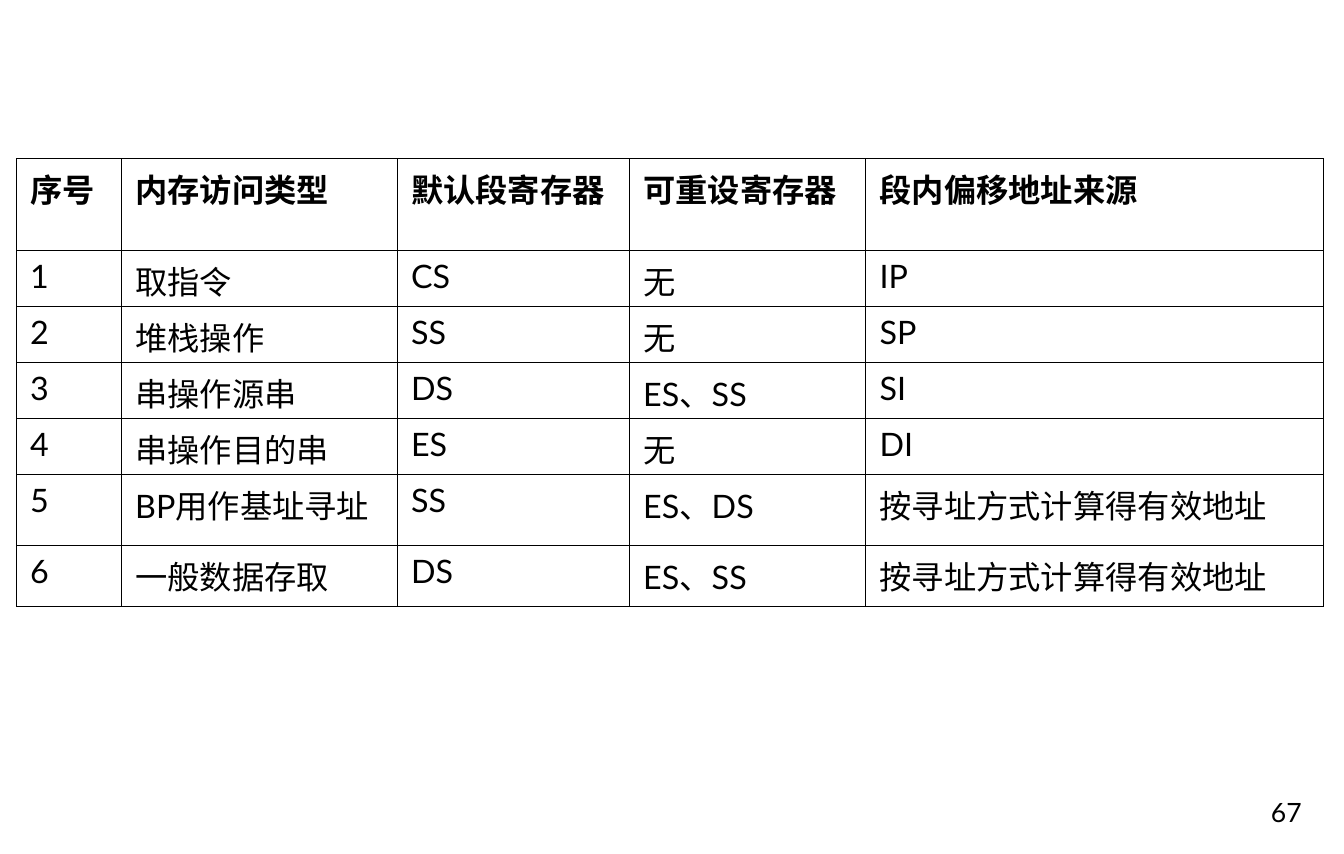
from lxml import etree
from pptx import Presentation
from pptx.dml.color import RGBColor
from pptx.enum.text import MSO_ANCHOR, PP_ALIGN
from pptx.oxml.ns import qn
from pptx.util import Inches, Pt

BOTTOM = MSO_ANCHOR.BOTTOM
LEFT, RIGHT = PP_ALIGN.LEFT, PP_ALIGN.RIGHT
BLACK, WHITE = "000000", "FFFFFF"
BORDER_WIDTH = Pt(0.45)
COLUMN_WIDTHS = [0.77, 2.02, 1.7, 1.73, 3.35]
ROW_HEIGHTS = [0.67, 0.41, 0.41, 0.41, 0.41, 0.52, 0.45]
HEADER_FORMAT = {"name": "Lato", "size": Pt(17), "bold": True}
BODY_FORMAT = {**HEADER_FORMAT, "bold": False}
NUMBER_FORMAT = {"name": "Lato", "size": Pt(14)}
SEGMENT_RULES = [
    ["序号", "内存访问类型", "默认段寄存器", "可重设寄存器", "段内偏移地址来源"],
    ["1", "取指令", "CS", "无", "IP"],
    ["2", "堆栈操作", "SS", "无", "SP"],
    ["3", "串操作源串", "DS", "ES、SS", "SI"],
    ["4", "串操作目的串", "ES", "无", "DI"],
    ["5", "BP用作基址寻址", "SS", "ES、DS", "按寻址方式计算得有效地址"],
    ["6", "一般数据存取", "DS", "ES、SS", "按寻址方式计算得有效地址"],
]


def color(hex_value):
    """Return the colour for a hex string."""
    return RGBColor.from_string(hex_value)


def write_text(frame, text, font_format, alignment):
    """Write one formatted paragraph into a text frame."""
    paragraph = frame.paragraphs[0]
    paragraph.alignment = alignment
    run = paragraph.add_run()
    run.text = text
    for attribute, value in font_format.items():
        setattr(run.font, attribute, value)
    run.font.color.rgb = color(BLACK)


def add_borders(cell):
    """Draw a thin solid line on every side of a cell."""
    properties = cell._tc.get_or_add_tcPr()
    for position, side in enumerate(["a:lnL", "a:lnR", "a:lnT", "a:lnB"]):
        border = etree.Element(qn(side), w=str(BORDER_WIDTH))
        line_fill = etree.SubElement(border, qn("a:solidFill"))
        etree.SubElement(line_fill, qn("a:srgbClr"), val=BLACK)
        properties.insert(position, border)


def add_rules_table(slide):
    """Add the table of segment register rules."""
    table = slide.shapes.add_table(
        len(ROW_HEIGHTS), len(COLUMN_WIDTHS), Inches(0.12), Inches(1.16),
        Inches(sum(COLUMN_WIDTHS)), Inches(sum(ROW_HEIGHTS))).table
    table.horz_banding = False
    for column, width in zip(table.columns, COLUMN_WIDTHS):
        column.width = Inches(width)
    for index, (row, height) in enumerate(zip(table.rows, ROW_HEIGHTS)):
        row.height = Inches(height)
        font_format = BODY_FORMAT if index else HEADER_FORMAT
        for cell, text in zip(row.cells, SEGMENT_RULES[index]):
            write_text(cell.text_frame, text, font_format, LEFT)
            cell.fill.solid()
            cell.fill.fore_color.rgb = color(WHITE)
            add_borders(cell)


def add_page_number(slide, number):
    """Add the page number at the lower right."""
    frame = slide.shapes.add_textbox(
        Inches(7.58), Inches(5.69), Inches(2.05), Inches(0.42)).text_frame
    frame.word_wrap = True
    frame.vertical_anchor = BOTTOM
    write_text(frame, number, NUMBER_FORMAT, RIGHT)


def main():
    """Build and save the slide."""
    presentation = Presentation()
    presentation.slide_width = Inches(9.84)
    presentation.slide_height = Inches(6.25)
    slide = presentation.slides.add_slide(presentation.slide_layouts[6])
    add_page_number(slide, "67")
    add_rules_table(slide)
    presentation.save("out.pptx")


if __name__ == "__main__":
    main()
